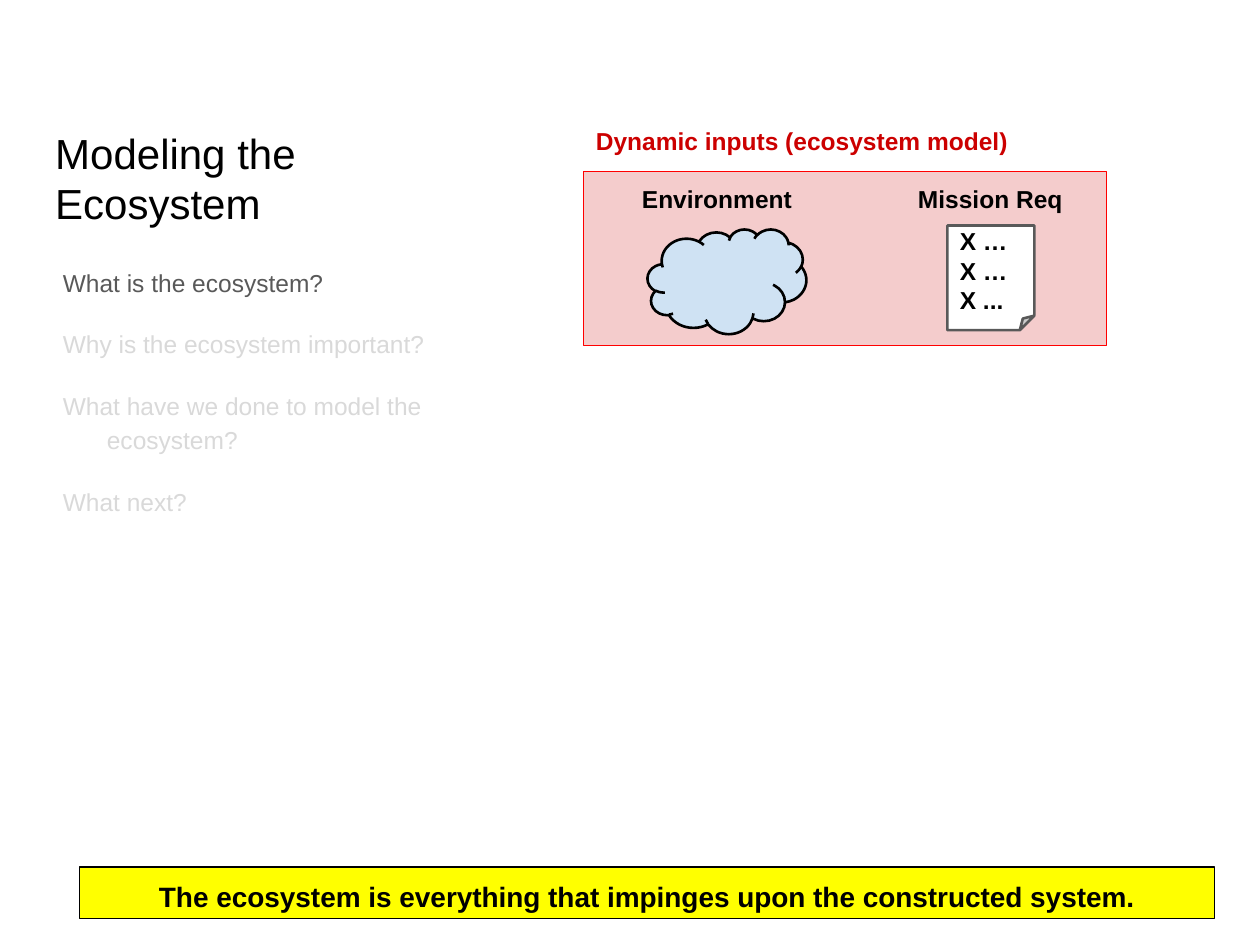
from dataclasses import dataclass

from pptx import Presentation
from pptx import util as u
from pptx.dml.color import RGBColor
from pptx.enum import shapes, text

COLORS = {
    "black": "000000",
    "white": "FFFFFF",
    "gray": "595959",
    "faded": "D9D9D9",
    "red": "FF0000",
    "dark red": "CC0000",
    "pink": "F4CCCC",
    "light blue": "CFE2F3",
    "yellow": "FFFF00",
}
FONT = "Arial"
INSET = 7.2


@dataclass(frozen=True)
class Box:
    """A rectangle in points."""
    left: float
    top: float
    width: float
    height: float

    def lengths(self) -> list:
        return [u.Pt(n) for n in (self.left, self.top, self.width, self.height)]


@dataclass(frozen=True)
class Question:
    wording: str
    color: str = "faded"


QUESTIONS = [
    Question("What is the ecosystem?", "gray"),
    Question("Why is the ecosystem important?"),
    Question("What have we done to model the ecosystem?"),
    Question("What next?"),
]
INPUT_LABELS = {
    "Environment": Box(352.8, 97.9, 113.8, 36.7),
    "Mission Req": Box(509, 97.9, 113.8, 36.7),
}


def rgb(name: str) -> RGBColor:
    return RGBColor.from_string(COLORS[name])


def write(shape, lines: list[str], *, size: float = 14, colors: tuple = ("black",),
          bold: bool = False, align=text.PP_ALIGN.LEFT, anchor=text.MSO_ANCHOR.TOP,
          spacing: float = 1.0, after: float = 0, margin: float = 0,
          indent: float = 0) -> None:
    """Fill a shape with one paragraph per line, cycling through the colors."""
    frame = shape.text_frame
    frame.word_wrap = True
    frame.vertical_anchor = anchor
    frame.margin_left = frame.margin_right = u.Pt(INSET)
    frame.margin_top = frame.margin_bottom = u.Pt(INSET)
    for index, line in enumerate(lines):
        paragraph = frame.paragraphs[0] if index == 0 else frame.add_paragraph()
        paragraph.alignment = align
        paragraph.line_spacing = spacing
        paragraph.space_after = u.Pt(after)
        if margin:
            properties = paragraph._p.get_or_add_pPr()
            properties.set("marL", str(u.Pt(margin)))
            properties.set("indent", str(u.Pt(indent)))
        run = paragraph.add_run()
        run.text = line
        run.font.name = FONT
        run.font.size = u.Pt(size)
        run.font.bold = bold
        run.font.color.rgb = rgb(colors[index % len(colors)])


def add_text(slide, box: Box, lines: list[str], **style):
    shape = slide.shapes.add_textbox(*box.lengths())
    write(shape, lines, **style)
    return shape


def add_figure(slide, kind, box: Box, fill: str, line: str, width: float):
    shape = slide.shapes.add_shape(kind, *box.lengths())
    shape.shadow.inherit = False
    shape.fill.solid()
    shape.fill.fore_color.rgb = rgb(fill)
    shape.line.color.rgb = rgb(line)
    shape.line.width = u.Pt(width)
    return shape


def add_outline(slide) -> None:
    add_text(slide, Box(24.5, 58.3, 221, 79.2), ["Modeling the Ecosystem"],
             size=24, anchor=text.MSO_ANCHOR.BOTTOM)
    add_text(slide, Box(18, 143.3, 285.1, 156.2),
             [question.wording for question in QUESTIONS],
             colors=tuple(question.color for question in QUESTIONS),
             spacing=1.15, after=16, margin=36, indent=-25.2)


def add_dynamic_inputs(slide) -> None:
    kinds = shapes.MSO_SHAPE
    add_figure(slide, kinds.RECTANGLE, Box(333.4, 97.9, 298.8, 99.4),
               "pink", "red", 0.75)
    add_figure(slide, kinds.CLOUD, Box(370.1, 131, 90.7, 59.8),
               "light blue", "black", 1.5)
    add_text(slide, Box(333.4, 64.8, 259.9, 38.9),
             ["Dynamic inputs (ecosystem model)"], colors=("dark red",), bold=True)
    for label, box in INPUT_LABELS.items():
        add_text(slide, box, [label], bold=True, align=text.PP_ALIGN.CENTER)
    requirements = add_figure(slide, kinds.FOLDED_CORNER, Box(541.4, 128.9, 49.7, 59.8),
                              "white", "gray", 1.5)
    write(requirements, ["X …", "X …", "X ..."], bold=True,
          anchor=text.MSO_ANCHOR.MIDDLE)


def add_takeaway(slide) -> None:
    banner = add_figure(slide, shapes.MSO_SHAPE.RECTANGLE, Box(45.4, 495.4, 648.7, 29.5),
                        "yellow", "black", 0.75)
    write(banner,
          ["The ecosystem is everything that impinges upon the constructed system."],
          size=16, bold=True, align=text.PP_ALIGN.CENTER)


def main() -> None:
    presentation = Presentation()
    presentation.slide_width = u.Pt(720)
    presentation.slide_height = u.Pt(540)
    slide = presentation.slides.add_slide(presentation.slide_layouts[6])
    add_outline(slide)
    add_dynamic_inputs(slide)
    add_takeaway(slide)
    presentation.save("out.pptx")


if __name__ == "__main__":
    main()
